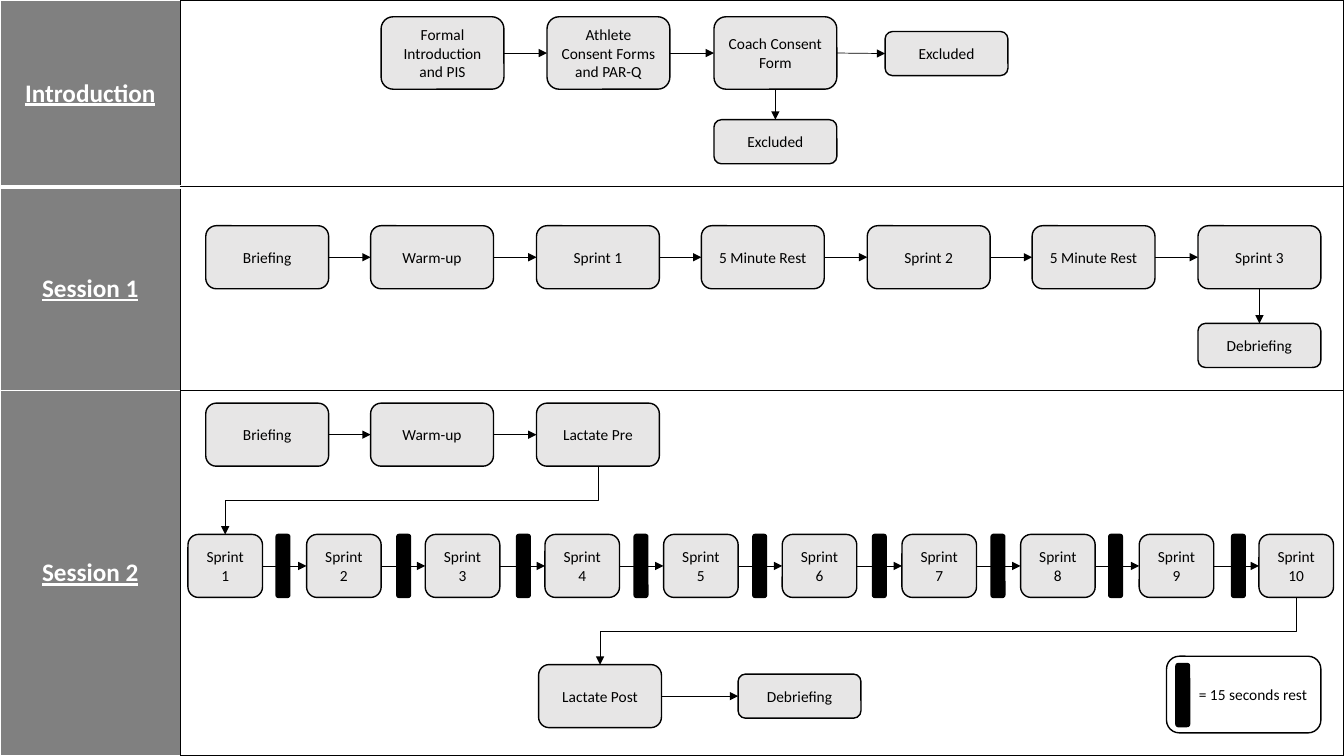
"""Build the study protocol flowchart slide."""
from dataclasses import dataclass
from itertools import pairwise
from typing import NamedTuple

from lxml import etree
from pptx import Presentation
from pptx import util as u
from pptx.dml.color import RGBColor
from pptx.enum import shapes, text
from pptx.oxml.ns import qn
from pptx.shapes.autoshape import Shape
from pptx.table import _Cell

PX = 9525
TOP, LEFT, BOTTOM, RIGHT = range(4)


@dataclass(frozen=True)
class Theme:
    font: str = "Calibri"
    black: str = "000000"
    white: str = "FFFFFF"
    step_fill: str = "E7E6E6"
    phase_fill: str = "808080"
    phase_size: int = 18
    step_size: int = 11
    outline: float = 1
    arrow: float = 0.5


class Box(NamedTuple):
    x: int
    y: int
    w: int
    h: int


class Step(NamedTuple):
    label: str
    box: Box


class Phase(NamedTuple):
    label: str
    height: int
    bottom_border: int


THEME = Theme()
PHASES = (Phase("Introduction", 178, 3), Phase("Session 1", 194, 1), Phase("Session 2", 348, 1))
LABEL_WIDTH, SLIDE_WIDTH, SLIDE_HEIGHT = 172, 1280, 720
STEP_W, STEP_H, END_H = 117, 60, 42
SPRINT_Y, SPRINT_W = 509, 71
REST_W = 13
REST_XS = (263, 378, 492, 604, 717, 831, 944, 1056, 1173)

prs = Presentation()
prs.slide_width, prs.slide_height = SLIDE_WIDTH * PX, SLIDE_HEIGHT * PX
slide = prs.slides.add_slide(prs.slide_layouts[6])


def style_run(run, size: float, color: str) -> None:
    run.font.name = THEME.font
    run.font.size = u.Pt(size)
    run.font.color.rgb = RGBColor.from_string(color)


def set_borders(cell: _Cell, borders: dict[str, tuple[str, int]]) -> None:
    props = cell._tc.get_or_add_tcPr()
    for index, side in enumerate("LRTB"):
        color, width = borders[side]
        line = etree.Element(qn(f"a:ln{side}"), w=str(u.Pt(width)))
        fill = etree.SubElement(line, qn("a:solidFill"))
        etree.SubElement(fill, qn("a:srgbClr"), val=color)
        props.insert(index, line)


def fill_cell(cell: _Cell, color: str) -> None:
    cell.fill.solid()
    cell.fill.fore_color.rgb = RGBColor.from_string(color)


def add_phases() -> None:
    grid = slide.shapes.add_table(
        len(PHASES), 2, 0, 0, SLIDE_WIDTH * PX, SLIDE_HEIGHT * PX).table
    grid.first_row = grid.horz_banding = False
    grid.columns[0].width = LABEL_WIDTH * PX
    grid.columns[1].width = (SLIDE_WIDTH - LABEL_WIDTH) * PX
    black, white = (THEME.black, 1), (THEME.white, 1)
    for row, phase in enumerate(PHASES):
        grid.rows[row].height = phase.height * PX
        heading, area = grid.cell(row, 0), grid.cell(row, 1)
        fill_cell(heading, THEME.phase_fill)
        fill_cell(area, THEME.white)
        set_borders(heading, {"L": white, "R": black, "T": white,
                              "B": (THEME.white, phase.bottom_border)})
        set_borders(area, dict.fromkeys("LRTB", black))
        heading.vertical_anchor = text.MSO_ANCHOR.MIDDLE
        paragraph = heading.text_frame.paragraphs[0]
        paragraph.text = phase.label
        paragraph.alignment = text.PP_ALIGN.CENTER
        run = paragraph.runs[0]
        style_run(run, THEME.phase_size, THEME.white)
        run.font.bold = run.font.underline = True


def add_box(box: Box, fill: str) -> Shape:
    shape = slide.shapes.add_shape(
        shapes.MSO_SHAPE.ROUNDED_RECTANGLE, *(length * PX for length in box))
    shape.shadow.inherit = False
    shape.fill.solid()
    shape.fill.fore_color.rgb = RGBColor.from_string(fill)
    shape.line.color.rgb = RGBColor.from_string(THEME.black)
    shape.line.width = u.Pt(THEME.outline)
    return shape


def add_step(step: Step, fill: str = THEME.step_fill,
             align: text.PP_ALIGN = text.PP_ALIGN.CENTER) -> Shape:
    shape = add_box(step.box, fill)
    shape.text_frame.vertical_anchor = text.MSO_ANCHOR.MIDDLE
    paragraph = shape.text_frame.paragraphs[0]
    paragraph.text = step.label
    paragraph.alignment = align
    style_run(paragraph.runs[0], THEME.step_size, THEME.black)
    return shape


def add_arrow(start: Shape, end: Shape, leave: int = RIGHT, enter: int = LEFT,
              kind: shapes.MSO_CONNECTOR = shapes.MSO_CONNECTOR.STRAIGHT):
    arrow = slide.shapes.add_connector(kind, 0, 0, 0, 0)
    arrow.begin_connect(start, leave)
    arrow.end_connect(end, enter)
    arrow.line.color.rgb = RGBColor.from_string(THEME.black)
    arrow.line.width = u.Pt(THEME.arrow)
    etree.SubElement(arrow.line._get_or_add_ln(), qn("a:tailEnd"), type="triangle")
    etree.SubElement(arrow._element.spPr, qn("a:effectLst"))
    return arrow


def add_return_arrow(start: Shape, end: Shape) -> None:
    arrow = add_arrow(start, end, BOTTOM, TOP, shapes.MSO_CONNECTOR.ELBOW)
    center_x = (arrow.begin_x + arrow.end_x) // 2
    center_y = (arrow.begin_y + arrow.end_y) // 2
    across, down = arrow.width, arrow.height
    arrow.left, arrow.top = center_x - down // 2, center_y - across // 2
    arrow.width, arrow.height = down, across
    frame = arrow._element.spPr.find(qn("a:xfrm"))
    frame.set("rot", "5400000")
    frame.set("flipH", "0")
    frame.set("flipV", "0")


def add_chain(steps: list[Step]) -> list[Shape]:
    chain = [add_step(step) for step in steps]
    for start, end in pairwise(chain):
        add_arrow(start, end)
    return chain


def session_row(labels: tuple[str, ...], y: int) -> list[Step]:
    return [Step(label, Box(196 + 945 * i // 6, y, STEP_W, STEP_H))
            for i, label in enumerate(labels)]


def add_introduction() -> None:
    labels = ("Formal Introduction and PIS", "Athlete Consent Forms and PAR-Q",
              "Coach Consent Form")
    consent = [Step(label, Box(363 + 317 * i // 2, 16, STEP_W, 69))
               for i, label in enumerate(labels)]
    chain = add_chain(consent + [Step("Excluded", Box(843, 30, STEP_W, END_H))])
    excluded = add_step(Step("Excluded", Box(680, 114, STEP_W, END_H)))
    add_arrow(chain[2], excluded, BOTTOM, TOP)


def add_session_1() -> None:
    labels = ("Briefing", "Warm-up", "Sprint 1", "5 Minute Rest", "Sprint 2",
              "5 Minute Rest", "Sprint 3")
    chain = add_chain(session_row(labels, 215))
    debriefing = add_step(Step("Debriefing", Box(1141, 308, STEP_W, END_H)))
    add_arrow(chain[-1], debriefing, BOTTOM, TOP)


def add_session_2() -> None:
    warm_up = add_chain(session_row(("Briefing", "Warm-up", "Lactate Pre"), 384))
    for x in REST_XS:
        add_box(Box(x, SPRINT_Y, REST_W, STEP_H), THEME.black)
    sprints = add_chain([
        Step(f"Sprint {i + 1}", Box(179 + 1020 * i // 9, SPRINT_Y, SPRINT_W, STEP_H))
        for i in range(10)])
    closing = add_chain([Step("Lactate Post", Box(513, 633, STEP_W, STEP_H)),
                         Step("Debriefing", Box(703, 642, STEP_W, END_H))])
    add_return_arrow(warm_up[-1], sprints[0])
    add_return_arrow(sprints[-1], closing[0])
    add_step(Step("= 15 seconds rest", Box(1111, 625, 147, 73)),
             THEME.white, text.PP_ALIGN.RIGHT)
    add_box(Box(1120, 632, REST_W, STEP_H), THEME.black)


def main() -> None:
    add_phases()
    add_introduction()
    add_session_1()
    add_session_2()
    prs.save("out.pptx")


if __name__ == "__main__":
    main()
